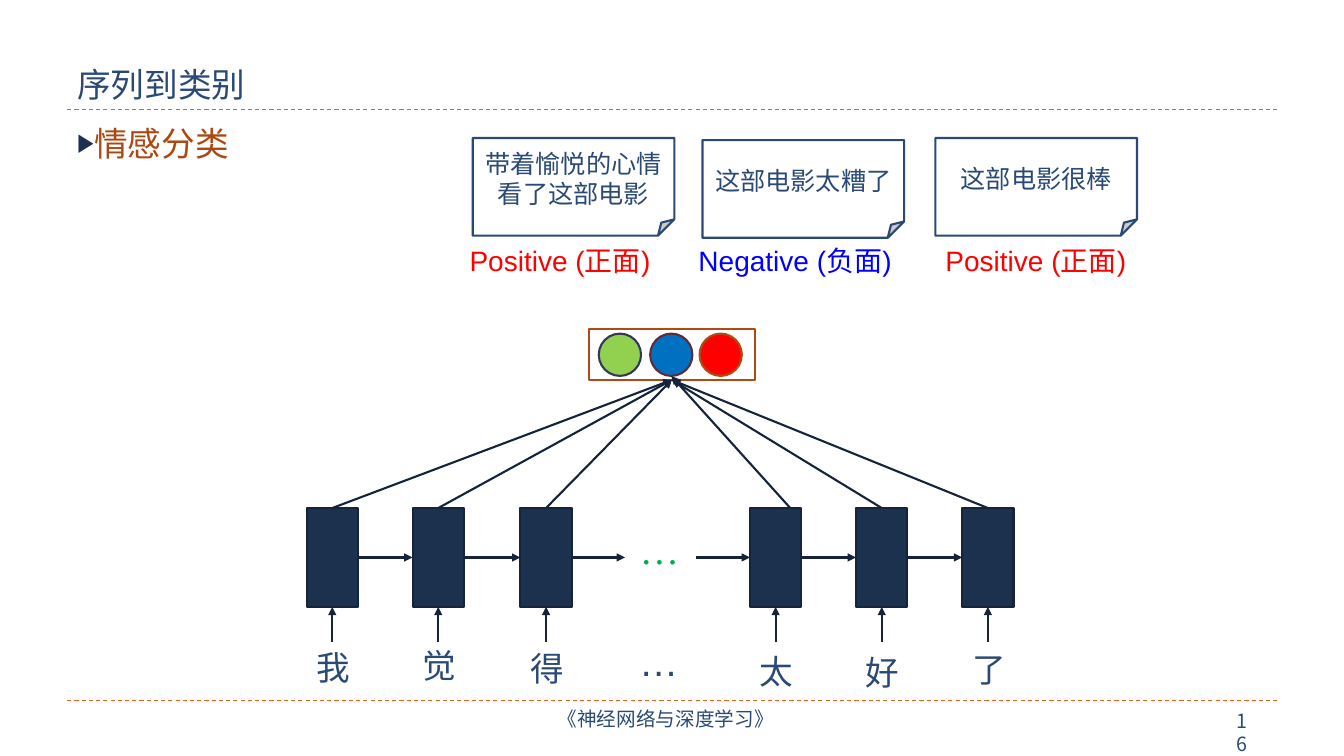
from pptx import Presentation
from pptx.dml.color import RGBColor
from pptx.enum import dml, shapes, text
from pptx.oxml import ns, xmlchemy
from pptx.util import Pt

NAVY = RGBColor(0x2A, 0x4A, 0x75)
CELL = RGBColor(0x1C, 0x31, 0x4E)
INK = RGBColor(0x15, 0x24, 0x3A)
ORANGE = RGBColor(0xEB, 0x64, 0x1B)
RUST = RGBColor(0xAD, 0x47, 0x0F)
FRAME = RGBColor(0xAE, 0x4A, 0x14)
GREEN = RGBColor(0x00, 0xB0, 0x50)
LIME = RGBColor(0x92, 0xD0, 0x50)
SLATE = RGBColor(0x35, 0x37, 0x59)
AZURE = RGBColor(0x00, 0x70, 0xC0)
MAROON = RGBColor(0x5C, 0x2C, 0x37)
RED = RGBColor(0xFF, 0x00, 0x00)
BLUE = RGBColor(0x00, 0x00, 0xFF)
WHITE = RGBColor(0xFF, 0xFF, 0xFF)

SANS, SERIF, CJK = "Arial", "Times New Roman", "Noto Sans CJK SC"
LEFT, CENTER = text.PP_ALIGN.LEFT, text.PP_ALIGN.CENTER
TOP, MIDDLE, BOTTOM = (text.MSO_ANCHOR.TOP, text.MSO_ANCHOR.MIDDLE,
                       text.MSO_ANCHOR.BOTTOM)
SHAPE = shapes.MSO_SHAPE


def add_xml(parent, tag, **attrs):
    child = xmlchemy.OxmlElement(tag)
    for name, value in attrs.items():
        child.set(name, str(value))
    parent.append(child)


def write(tf, words, size=24, font=SANS, color=NAVY, align=LEFT, anchor=TOP,
          wrap=True):
    tf.word_wrap = wrap
    tf.auto_size = text.MSO_AUTO_SIZE.NONE
    tf.vertical_anchor = anchor
    p = tf.paragraphs[0]
    p.alignment = align
    r = p.add_run()
    r.text = words
    r.font.size, r.font.name, r.font.color.rgb = Pt(size), font, color
    r.font.language_id = None
    add_xml(r.font._element, "a:ea", typeface=CJK)
    return p


class Deck:
    """Holds the line style and the current slide."""

    def __init__(self, width, height, weight=1.5):
        self.prs = Presentation()
        self.prs.slide_width, self.prs.slide_height = Pt(width), Pt(height)
        self.s = self.prs.slides.add_slide(self.prs.slide_layouts[5])
        self.weight = weight

    def title(self, words, x, y, w, h):
        sp = self.s.shapes.title
        sp.left, sp.top, sp.width, sp.height = Pt(x), Pt(y), Pt(w), Pt(h)
        write(sp.text_frame, words, anchor=BOTTOM)

    def label(self, words, x, y, w, h, **style):
        sp = self.s.shapes.add_textbox(Pt(x), Pt(y), Pt(w), Pt(h))
        return write(sp.text_frame, words, **style)

    def bullet(self, words, x, y, w, h, **style):
        pPr = self.label(words, x, y, w, h, **style)._p.get_or_add_pPr()
        pPr.set("marL", str(Pt(12.25)))
        pPr.set("indent", str(Pt(-12.25)))
        add_xml(pPr, "a:buClr")
        add_xml(pPr.find(ns.qn("a:buClr")), "a:srgbClr", val=CELL)
        add_xml(pPr, "a:buSzPct", val=76000)
        add_xml(pPr, "a:buFont", typeface=SANS)
        add_xml(pPr, "a:buChar", char="▶")

    def shape(self, kind, x, y, w, h, line, fill=None):
        sp = self.s.shapes.add_shape(kind, Pt(x), Pt(y), Pt(w), Pt(h))
        sp.shadow.inherit = False
        if fill is None:
            sp.fill.background()
        else:
            sp.fill.solid()
            sp.fill.fore_color.rgb = fill
        sp.line.color.rgb, sp.line.width = line, Pt(self.weight)
        return sp

    def line(self, x1, y1, x2, y2, color=INK, weight=None):
        c = self.s.shapes.add_connector(shapes.MSO_CONNECTOR.STRAIGHT,
                                        Pt(x1), Pt(y1), Pt(x2), Pt(y2))
        c.line.color.rgb, c.line.width = color, Pt(weight or self.weight)
        add_xml(c._element.spPr, "a:effectLst")
        return c

    def rule(self, y):
        c = self.line(48, y, 912, y, ORANGE, 0.75)
        c.line.dash_style = dml.MSO_LINE.DASH

    def arrow(self, x1=0, y1=0, x2=0, y2=0, begin=None, end=None):
        """begin and end are (shape, site) pairs that replace the points."""
        c = self.line(x1, y1, x2, y2)
        if begin:
            c.begin_connect(*begin)
        if end:
            c.end_connect(*end)
        add_xml(c.line._get_or_add_ln(), "a:tailEnd", type="triangle")


def main():
    d = Deck(960, 540)
    d.rule(78)
    d.rule(500.4)
    d.label("《神经网络与深度学习》", 319.7, 501.1, 311.8, 28.8, size=14,
            font=CJK, align=CENTER)
    d.label("16", 876.2, 502.6, 29.5, 24.5, size=14, font=CJK)
    d.title("序列到类别", 48, 12.2, 864, 66.2)
    d.bullet("情感分类", 48, 84.2, 864, 399, font=SERIF, color=RUST)

    reviews = [
        (337.7, 98.6, "带着愉悦的心情看了这部电影", 328.3, "Positive (正面)", RED),
        (501.8, 100.1, "这部电影太糟了", 491.8, "Negative (负面)", BLUE),
        (668.2, 98.6, "这部电影很棒", 668.2, "Positive (正面)", RED),
    ]
    for x, y, review, label_x, verdict, color in reviews:
        note = d.shape(SHAPE.FOLDED_CORNER, x, y, 144, 69.8, NAVY, WHITE)
        write(note.text_frame, review, size=18, font=SERIF, align=CENTER,
              anchor=MIDDLE)
        d.label(verdict, label_x, 170.6, 169.2, 31.7, size=20, color=color)

    output = d.shape(SHAPE.RECTANGLE, 420.5, 234.7, 118.8, 36.7, FRAME)
    for x, fill, line in [(427.7, LIME, SLATE), (464.4, AZURE, MAROON),
                          (499.7, RED, FRAME)]:
        d.shape(SHAPE.OVAL, x, 238.3, 30.2, 30.2, line, fill)

    words = [("我", 219, 458.6), ("觉", 294.7, 457.2), ("得", 371.7, 459.4),
             ("太", 535.7, 461.5), ("好", 611.5, 462.2), ("了", 687.3, 460.1)]
    cells = []
    for word, x, y in words:
        cell = d.shape(SHAPE.RECTANGLE, x, 362.9, 36.7, 70.6, INK, CELL)
        cells.append(cell)
        d.label(word, x, y, 38.9, 36, wrap=False)
        d.arrow(x + 18.35, 458.6, end=(cell, 2))
        if word == "太":
            d.arrow(564.5, 362.9, 479.5, 268.6)
        else:
            d.arrow(begin=(cell, 0), end=(output, 2))

    for left, right in [(0, 1), (1, 2), (3, 4), (4, 5)]:
        d.arrow(begin=(cells[left], 3), end=(cells[right], 1))
    d.arrow(x2=446.4, y2=398.2, begin=(cells[2], 3))
    d.arrow(497.5, 398.2, end=(cells[3], 1))
    d.label("…", 427.5, 371.5, 87.1, 41, size=28, font=SERIF, color=GREEN,
            align=CENTER)
    d.label("…", 427, 451.4, 87.1, 41, size=28, align=CENTER)

    d.prs.save("out.pptx")


if __name__ == "__main__":
    main()
